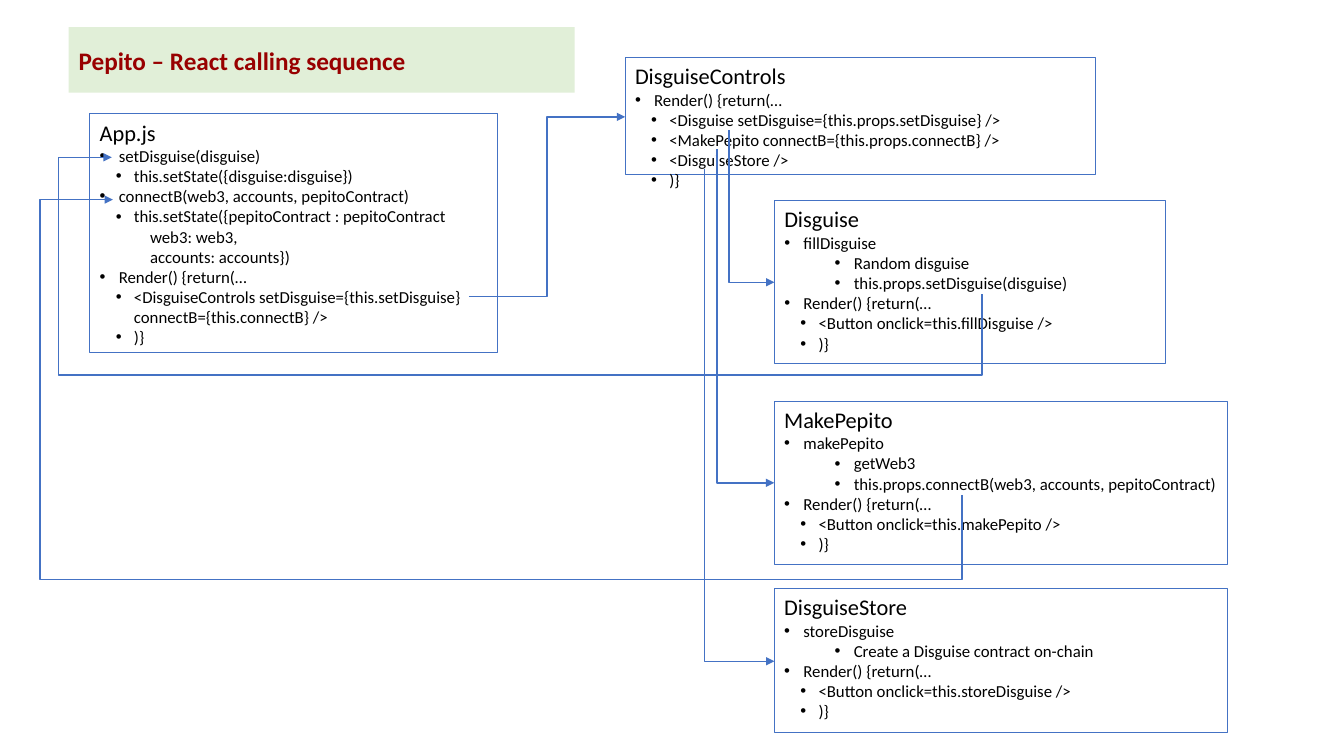
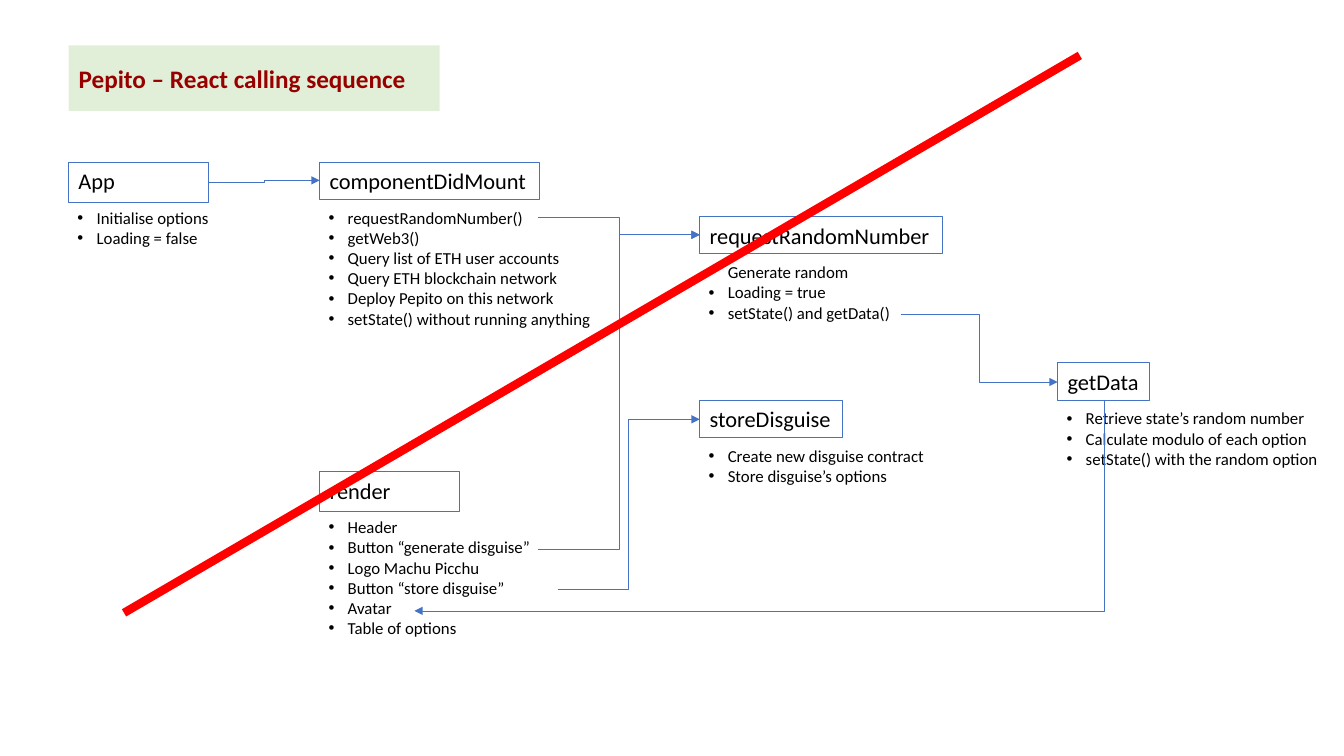
from copy import deepcopy
from lxml import etree
from pptx import Presentation
from pptx import util as u
from pptx.dml.color import RGBColor
from pptx.enum import shapes, text
from pptx.oxml.ns import qn

PX = 9144
FONT = "Calibri"
C = {"band": "E1EFD8", "title": "980000", "ink": "000000", "line": "4472C4", "strike": "FF0000"}
TITLE = "Pepito – React calling sequence"
INDENTS = [(19, -19), (34, -18), (69, -19)]
PAD, ROW = 10, 20.2
LIST_DROP = 40

COMPONENTS = [
    ("App.js", (89, 113, 404, 237), [
        (0, "setDisguise(disguise)"),
        (1, "this.setState({disguise:disguise})"),
        (0, "connectB(web3, accounts, pepitoContract)"),
        (1, "this.setState({pepitoContract : pepitoContract\n\tweb3: web3,\n\taccounts: accounts})"),
        (0, "Render() {return(…"),
        (1, "<DisguiseControls setDisguise={this.setDisguise} \nconnectB={this.connectB} />"),
        (1, ")}")]),
    ("DisguiseControls", (620, 57, 467, 116), [
        (0, "Render() {return(…"),
        (1, "<Disguise setDisguise={this.props.setDisguise} />"),
        (1, "<MakePepito connectB={this.props.connectB} />"),
        (1, "<DisguiseStore />"),
        (1, ")}")]),
    ("Disguise", (768, 199, 388, 162), [
        (0, "fillDisguise"),
        (2, "Random disguise"),
        (2, "this.props.setDisguise(disguise)"),
        (0, "Render() {return(…"),
        (1, "<Button onclick=this.fillDisguise />"),
        (1, ")}")]),
    ("MakePepito", (768, 398, 450, 162), [
        (0, "makePepito"),
        (2, "getWeb3"),
        (2, "this.props.connectB(web3, accounts, pepitoContract)"),
        (0, "Render() {return(…"),
        (1, "<Button onclick=this.makePepito />"),
        (1, ")}")]),
    ("DisguiseStore", (768, 584, 450, 143), [
        (0, "storeDisguise"),
        (2, "Create a Disguise contract on-chain"),
        (0, "Render() {return(…"),
        (1, "<Button onclick=this.storeDisguise />"),
        (1, ")}")]),
]
COMPONENT_ARROWS = [
    [(465, 294), (542, 294), (542, 116), (620, 116)],
    [(723, 129), (723, 280), (768, 280)],
    [(711, 148), (711, 479), (768, 479)],
    [(699, 168), (699, 656), (768, 656)],
    [(974, 292), (974, 372), (58, 372), (58, 156), (111, 156)],
    [(954, 491), (954, 575), (40, 575), (40, 198), (112, 198)],
]

STEPS = [
    ("App", (68, 161, 139, 40), 152, ["Initialise options", "Loading = false"]),
    ("componentDidMount", (317, 161, 218, 37), 282, [
        "requestRandomNumber()", "getWeb3()", "Query list of ETH user accounts",
        "Query ETH blockchain network", "Deploy Pepito on this network",
        "setState() without running anything"]),
    ("render", (317, 468, 139, 40), 222, [
        "Header", "Button “generate disguise”", "Logo Machu Picchu",
        "Button “store disguise”", "Avatar", "Table of options"]),
    ("requestRandomNumber", (694, 215, 241, 37), 202, [
        "Generate random", "Loading = true", "setState() and getData()"]),
    ("storeDisguise", (694, 397, 142, 37), 236, [
        "Create new disguise contract", "Store disguise’s options"]),
    ("getData", (1049, 360, 91, 37), 272, [
        "Retrieve state’s random number", "Calculate modulo of each option",
        "setState() with the random option"]),
]
STEP_ARROWS = [
    [(207, 181), (262, 181), (262, 179), (317, 179)],
    [(534, 216), (614, 216), (614, 233), (694, 233)],
    [(534, 545), (614, 545), (614, 233), (694, 233)],
    [(553, 585), (623, 585), (623, 416), (694, 416)],
    [(894, 312), (972, 312), (972, 379), (1049, 379)],
    [(1095, 397), (1095, 606), (411, 606)],
]
STRIKE = [(123, 608), (1071, 55)]


def emu(*px):
    return [round(v * PX) for v in px]


def rgb(name):
    return RGBColor.from_string(C[name])


def add_xml(parent, tag, **attrs):
    return etree.SubElement(parent, qn(tag), **attrs)


def write(p, content, size=12, color="ink", bold=False, level=None):
    p.alignment = text.PP_ALIGN.LEFT
    for i, line in enumerate(content.split("\n")):
        if i:
            p.add_line_break()
        r = p.add_run()
        r.text = line
        r.font.name, r.font.size, r.font.bold = FONT, u.Pt(size), bold
        r.font.color.rgb = rgb(color)
    for br in p._p.findall(qn("a:br")):
        br.append(deepcopy(p.runs[0]._r.rPr))
    if level is not None:
        p.level = min(level, 1)
        pPr = p._p.get_or_add_pPr()
        left, hang = emu(*INDENTS[level])
        pPr.set("marL", str(left))
        pPr.set("indent", str(hang))
        add_xml(pPr, "a:buFont", typeface="Arial")
        add_xml(pPr, "a:buChar", char="•")


def frame(sp):
    tf = sp.text_frame
    tf.word_wrap = True
    tf.margin_right = 0
    tf.vertical_anchor = text.MSO_ANCHOR.TOP
    return tf


def write_list(tf, items, first=False):
    for i, (level, item) in enumerate(items):
        p = tf.paragraphs[0] if first and i == 0 else tf.add_paragraph()
        write(p, item, level=level)


def add_box(s, name, at):
    sp = s.shapes.add_shape(shapes.MSO_SHAPE.RECTANGLE, *emu(*at))
    sp.shadow.inherit = False
    sp.fill.background()
    sp.line.color.rgb = rgb("line")
    sp.line.width = u.Pt(0.75)
    tf = frame(sp)
    write(tf.paragraphs[0], name, size=16)
    return tf


def add_line(s, points, width, color="line", arrow=True):
    (x0, y0), (x1, y1) = points[0], points[-1]
    dx, dy = x1 - x0, y1 - y0
    upright = len(points) in (3, 5)
    ends = (x0, y0, x1, y1)
    if upright:
        cx, cy, w, h = (x0 + x1) / 2, (y0 + y1) / 2, abs(dy), abs(dx)
        ends = (cx - w / 2, cy - h / 2, cx + w / 2, cy + h / 2)
    kind = shapes.MSO_CONNECTOR.ELBOW if len(points) > 2 else shapes.MSO_CONNECTOR.STRAIGHT
    c = s.shapes.add_connector(kind, *emu(*ends))
    c.line.color.rgb = rgb(color)
    c.line.width = u.Pt(width)
    spPr = c._element.spPr
    if upright:
        xfrm = spPr.find(qn("a:xfrm"))
        xfrm.set("rot", str((270 if dx > 0 else 90) * 60000))
        if (dx > 0) == (dy > 0):
            xfrm.set("flipH", "1")
        geom = spPr.find(qn("a:prstGeom"))
        geom.set("prst", f"bentConnector{len(points) - 1}")
        if len(points) == 5:
            guides = geom.find(qn("a:avLst"))
            ratios = ((points[1][1] - y0) / dy, (points[2][0] - x0) / dx)
            for i, ratio in enumerate(ratios, 1):
                add_xml(guides, "a:gd", name=f"adj{i}", fmla=f"val {round(ratio * 100000)}")
    if arrow:
        add_xml(c.line._get_or_add_ln(), "a:tailEnd", type="triangle")
    add_xml(spPr, "a:effectLst")


def new_slide(prs, at):
    s = prs.slides.add_slide(prs.slide_layouts[5])
    sp = s.shapes.title
    sp.left, sp.top, sp.width, sp.height = emu(*at)
    sp.fill.solid()
    sp.fill.fore_color.rgb = rgb("band")
    tf = frame(sp)
    tf.auto_size = text.MSO_AUTO_SIZE.NONE
    tf.vertical_anchor = text.MSO_ANCHOR.MIDDLE
    write(tf.paragraphs[0], TITLE, size=18, color="title", bold=True)
    return s


def build_components(prs):
    s = new_slide(prs, (68, 27, 502, 65))
    for name, at, items in COMPONENTS:
        write_list(add_box(s, name, at), items)
    for points in COMPONENT_ARROWS:
        add_line(s, points, 1)


def build_steps(prs):
    s = new_slide(prs, (68, 45, 368, 65))
    for name, at, width, items in STEPS:
        add_box(s, name, at)
        height = PAD + ROW * len(items)
        sp = s.shapes.add_textbox(*emu(at[0] - 1, at[1] + LIST_DROP, width, height))
        write_list(frame(sp), [(0, item) for item in items], first=True)
    for points in STEP_ARROWS:
        add_line(s, points, 0.5)
    add_line(s, STRIKE, 6, color="strike", arrow=False)


def main():
    prs = Presentation()
    prs.slide_width, prs.slide_height = emu(1333, 750)
    build_components(prs)
    build_steps(prs)
    prs.save("out.pptx")


if __name__ == "__main__":
    main()
